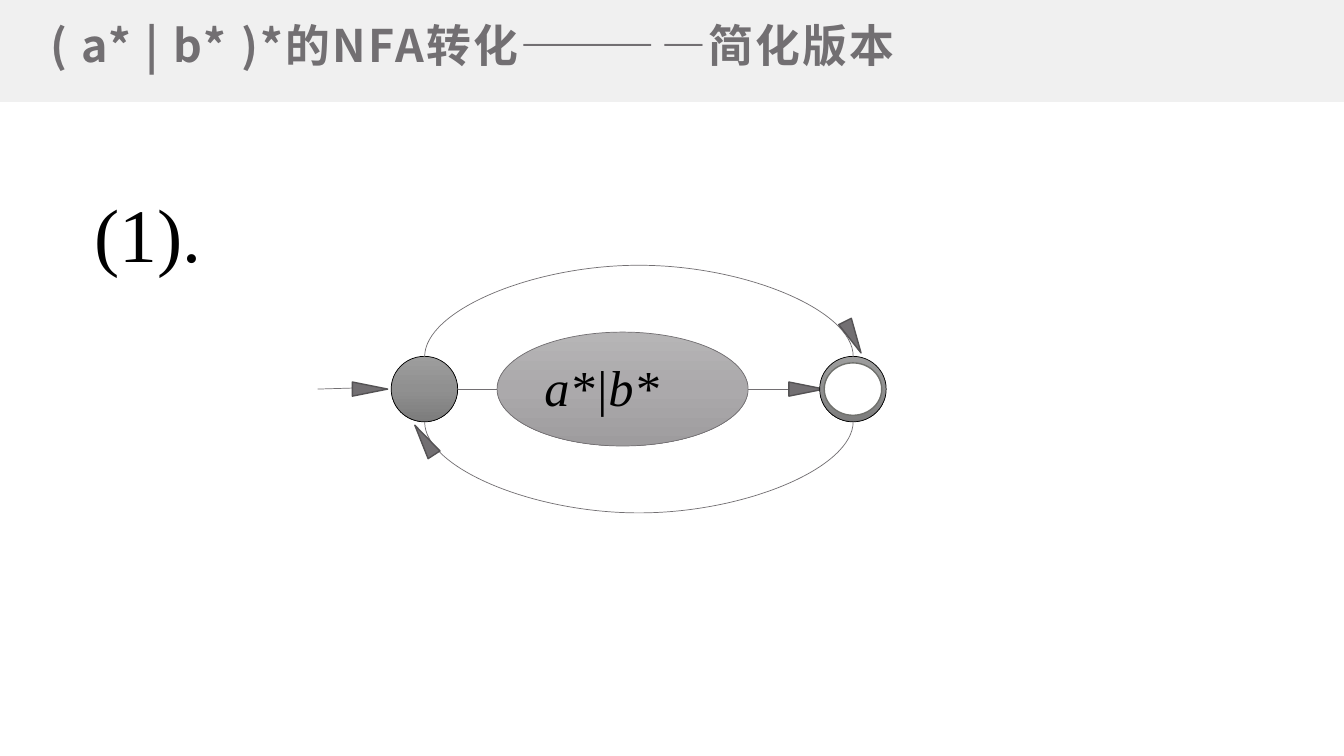
from dataclasses import dataclass

from lxml.etree import SubElement
from pptx import Presentation
from pptx.dml.color import RGBColor
from pptx.enum.shapes import MSO_CONNECTOR, MSO_SHAPE
from pptx.enum.text import MSO_ANCHOR, MSO_AUTO_SIZE, PP_ALIGN
from pptx.oxml.ns import qn
from pptx.util import Inches, Pt


@dataclass(frozen=True)
class Theme:
    band: str = "F0F0F0"
    gray: str = "726F72"
    edge: str = "545254"
    ring: str = "70716D"
    ink: str = "000000"
    white: str = "FFFFFF"
    state: tuple = ("9D9D9D", "909090", "7C7C7C")
    block: tuple = ("B6B5B6", "ABA9AB", "9E9C9E")
    sans: str = "Noto Sans CJK SC"
    serif: str = "Times New Roman"
    title_size: int = 32
    step_size: int = 54
    label_size: int = 36
    hairline: float = 0.5
    outline: float = 1


def write(shape, text, *, font, size, color, bold=False, italic=False,
          spacing=None, anchor=MSO_ANCHOR.TOP, fit=MSO_AUTO_SIZE.NONE):
    """Put one formatted line of text into a shape."""
    tf = shape.text_frame
    tf.word_wrap = True
    tf.auto_size = fit
    tf.vertical_anchor = anchor
    p = tf.paragraphs[0]
    p.alignment = PP_ALIGN.LEFT
    r = p.add_run()
    r.text = text
    f = r.font
    f.name, f.size, f.bold, f.italic = font, Pt(size), bold, italic
    f.color.rgb = RGBColor.from_string(color)
    rPr = r._r.get_or_add_rPr()
    SubElement(rPr, qn("a:ea")).set("typeface", font)
    if spacing:
        rPr.set("spc", str(round(spacing * 100)))
    return tf


class SlideBuilder:
    """Lengths are columns and rows of a grid with ten cells to the inch."""

    def __init__(self, prs, theme):
        self.theme = theme
        self.slide = prs.slides.add_slide(prs.slide_layouts[5])

    @staticmethod
    def cells(*values):
        return [Inches(v / 10) for v in values]

    def title(self, text, x, y, w, h):
        t = self.theme
        s = self.slide.shapes.title
        s.left, s.top, s.width, s.height = self.cells(x, y, w, h)
        tf = write(s, text, font=t.sans, size=t.title_size, color=t.gray,
                   bold=True, spacing=1.6, anchor=MSO_ANCHOR.MIDDLE)
        tf.margin_left = tf.margin_right = Inches(0.07)
        tf.margin_top = tf.margin_bottom = Inches(0.03)

    def text(self, text, x, y, w, h, **style):
        s = self.slide.shapes.add_textbox(*self.cells(x, y, w, h))
        write(s, text, font=self.theme.serif, color=self.theme.ink,
              fit=MSO_AUTO_SIZE.SHAPE_TO_FIT_TEXT, **style)

    def shape(self, kind, cx, cy, w, h, fill, line=None, weight=0.5, angle=0):
        """Add a shape around its centre; a tuple of fills is a gradient."""
        s = self.slide.shapes.add_shape(
            kind, *self.cells(cx - w / 2, cy - h / 2, w, h))
        s.shadow.inherit = False
        s.rotation = angle
        if isinstance(fill, tuple):
            s.fill.gradient()
            s.fill.gradient_angle = 270
            stops = s.fill._fill._gradFill.find(qn("a:gsLst"))
            for stop in list(stops):
                stops.remove(stop)
            for i, color in enumerate(fill):
                gs = SubElement(stops, qn("a:gs"), pos=str(50000 * i))
                SubElement(gs, qn("a:srgbClr"), val=color)
        else:
            s.fill.solid()
            s.fill.fore_color.rgb = RGBColor.from_string(fill)
        if line:
            s.line.color.rgb = RGBColor.from_string(line)
            s.line.width = Pt(weight)
        else:
            s.line.fill.background()
        return s

    def state(self, cx, cy, w, h):
        t = self.theme
        return self.shape(MSO_SHAPE.OVAL, cx, cy, w, h, t.state, t.ink, t.hairline)

    def arrowhead(self, cx, cy, angle):
        t = self.theme
        self.shape(MSO_SHAPE.ISOSCELES_TRIANGLE, cx, cy, 1.4, 3.5,
                   t.gray, t.edge, t.outline, angle)

    def line(self, x1, y1, x2, y2, kind=MSO_CONNECTOR.STRAIGHT):
        c = self.slide.shapes.add_connector(kind, *self.cells(x1, y1, x2, y2))
        c.line.color.rgb = RGBColor.from_string(self.theme.gray)
        c.line.width = Pt(self.theme.hairline)
        SubElement(c._element.spPr, qn("a:effectLst"))
        return c

    def loop(self, x1, x2, y, depth, angle, start, end, site):
        """Curve between two states, turned so that it bulges up or down."""
        mid, half, thin = (x1 + x2) / 2, (x2 - x1) / 2, 0.04
        c = self.line(mid, y - half, mid + thin, y + half, MSO_CONNECTOR.CURVE)
        spPr = c._element.spPr
        spPr.find(qn("a:xfrm")).set("rot", str(angle * 60000))
        guides = spPr.find(qn("a:prstGeom")).find(qn("a:avLst"))
        bulge = round(depth / thin * 100000)
        SubElement(guides, qn("a:gd"), name="adj1", fmla=f"val {bulge}")
        joints = c._element.nvCxnSpPr.cNvCxnSpPr
        for tag, s in (("a:stCxn", start), ("a:endCxn", end)):
            SubElement(joints, qn(tag), id=str(s.shape_id), idx=str(site))


def main():
    t = Theme()
    prs = Presentation()
    prs.slide_width, prs.slide_height = Inches(13.33), Inches(7.5)
    sb = SlideBuilder(prs, t)

    # Header band, sent behind the title
    band = sb.shape(MSO_SHAPE.RECTANGLE, 66.65, 5.05, 133.3, 10.1, t.band)
    tree = band._element.getparent()
    tree.remove(band._element)
    tree.insert(2, band._element)
    sb.title("( a* | b* )*的NFA转化————简化版本", 4.3, 1.1, 123.3, 6.7)
    sb.text("(1).", 8.4, 18, 31.7, 10.1, size=t.step_size)

    # States on one axis
    axis, first, last = 38.6, 42.1, 84.6
    width, height = 6.6, 6.5
    sb.line(31.5, axis, 34.9, axis - 0.1)
    sb.arrowhead(36.7, axis, 90)
    start = sb.state(first, axis, width, height)
    sb.line(first + width / 2, axis, 78.2, axis)
    sb.arrowhead(80, axis, 90)
    accept = sb.state(last, axis, width, height)
    sb.shape(MSO_SHAPE.OVAL, last, axis, 5.7, 5.2, t.white, t.ring, t.outline)

    # Inner expression
    sb.shape(MSO_SHAPE.OVAL, 61.75, axis, 24.9, 11.3, t.block, t.gray, t.hairline)
    sb.text("a*|b*", 53, 34.8, 28.7, 7.1, size=t.label_size, italic=True)

    # Skip and repeat loops
    sb.loop(first, last, axis - height / 2, 9.2, 270, start, accept, 0)
    sb.loop(first, last, axis + height / 2, 9.2, 90, accept, start, 4)
    sb.arrowhead(84.6, 33.45, 153)
    sb.arrowhead(42.1, 43.65, 327)

    prs.save("out.pptx")


if __name__ == "__main__":
    main()
